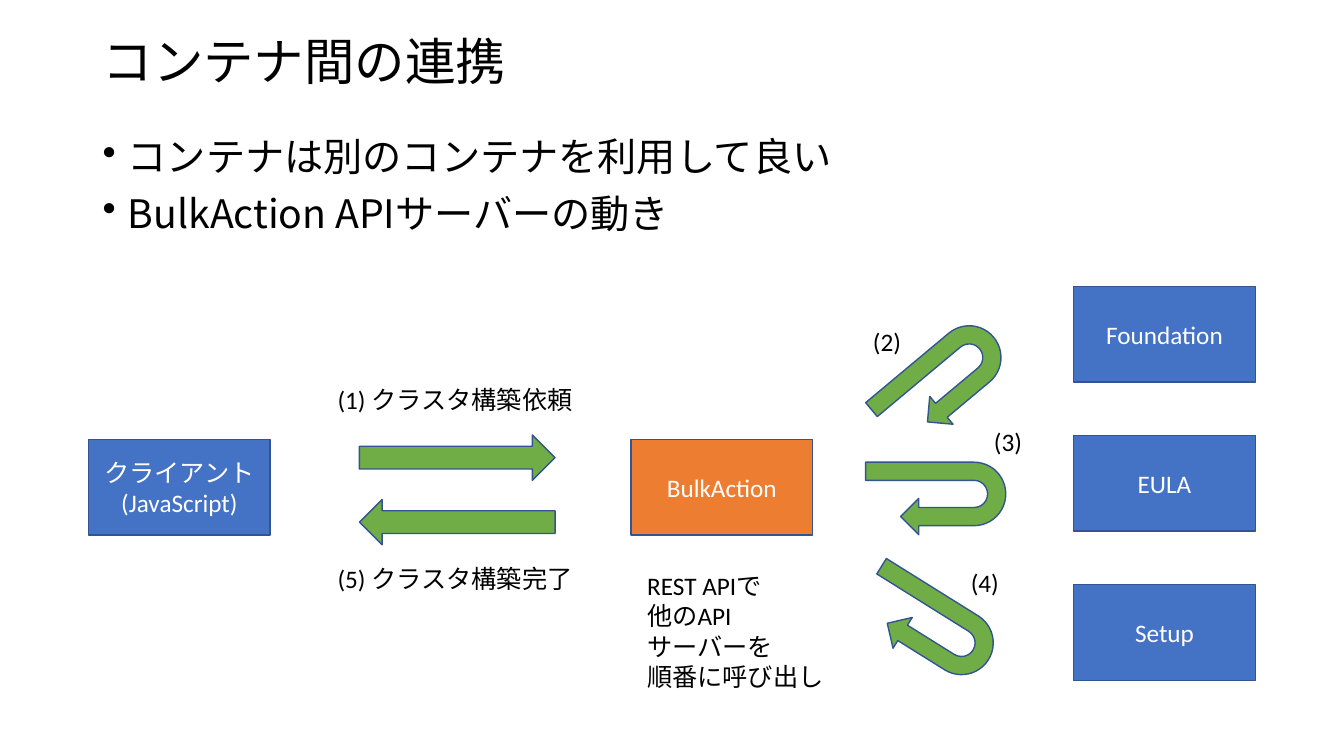
from dataclasses import dataclass

import pptx
import pptx.dml.color
import pptx.enum.shapes
import pptx.enum.text
import pptx.oxml.ns
import pptx.util
from lxml import etree

Inches = pptx.util.Inches
Pt = pptx.util.Pt
RGBColor = pptx.dml.color.RGBColor
MSO_SHAPE = pptx.enum.shapes.MSO_SHAPE
MSO_ANCHOR = pptx.enum.text.MSO_ANCHOR
PP_ALIGN = pptx.enum.text.PP_ALIGN
qn = pptx.oxml.ns.qn

BLACK = RGBColor(0x00, 0x00, 0x00)
WHITE = RGBColor(0xFF, 0xFF, 0xFF)
BLUE = RGBColor(0x44, 0x72, 0xC4)
ORANGE = RGBColor(0xED, 0x7D, 0x31)
GREEN = RGBColor(0x70, 0xAD, 0x47)
OUTLINE = RGBColor(0x32, 0x54, 0x91)

LATIN = "Calibri"
JAPANESE = "Noto Sans CJK JP"
BOX_W, BOX_H = 1.8, 0.95
UTURN_W, UTURN_H = 0.72, 1.39
ARROW_W, ARROW_H = 0.45, 1.94


@dataclass
class Box:
    lines: list[str]
    left: float
    top: float
    fill: RGBColor = BLUE


@dataclass
class Arrow:
    kind: MSO_SHAPE
    left: float
    top: float
    width: float
    height: float
    rotation: float


@dataclass
class Label:
    lines: list[str]
    left: float
    top: float
    width: float
    height: float = 0.4
    wrap: bool = False


BOXES = [
    Box(["クライアント", "(JavaScript)"], 0.88, 4.36),
    Box(["BulkAction"], 6.26, 4.36, ORANGE),
] + [
    Box([name], 10.65, 2.84 + 1.48 * i)
    for i, name in enumerate(["Foundation", "EULA", "Setup"])
]

ARROWS = [
    Arrow(MSO_SHAPE.U_TURN_ARROW, left, top, UTURN_W, UTURN_H, rotation)
    for left, top, rotation in [(8.99, 3.13, 50.1), (8.92, 4.25, 90), (8.83, 5.52, 122)]
] + [
    Arrow(MSO_SHAPE.DOWN_ARROW, 4.31, top, ARROW_W, ARROW_H, rotation)
    for top, rotation in [(3.57, 270), (4.21, 90)]
]

LABELS = [
    Label(["(1) クラスタ構築依頼"], 3.25, 3.76, 2.56, wrap=True),
    Label(["(2)"], 8.56, 3.19, 0.48),
    Label(["(3)"], 9.76, 4.18, 0.48),
    Label(["(4)"], 9.53, 5.58, 0.48),
    Label(["(5) クラスタ構築完了"], 3.25, 5.54, 2.56, wrap=True),
    Label(["REST APIで", "他のAPI", "サーバーを", "順番に呼び出し"], 6.32, 5.61, 1.97, 1.31),
]


def set_attributes(target, values: dict) -> None:
    for name, value in values.items():
        setattr(target, name, value)


def add_bullet(p) -> None:
    pPr = p._p.get_or_add_pPr()
    pPr.set("marL", str(Inches(0.25)))
    pPr.set("indent", str(-Inches(0.25)))
    etree.SubElement(pPr, qn("a:buChar")).set("char", "•")


def write_lines(tf, lines: list[str], color: RGBColor, size: float = 18,
                latin: str = LATIN, bullets: bool = False, **paragraph_format) -> None:
    for i, line in enumerate(lines):
        p = tf.paragraphs[0] if i == 0 else tf.add_paragraph()
        if bullets:
            add_bullet(p)
            if i > 0:
                p.space_before = Pt(10)
        set_attributes(p, paragraph_format)
        r = p.add_run()
        r.text = line
        set_attributes(r.font, {"size": Pt(size), "name": latin})
        r.font.color.rgb = color
        etree.SubElement(r._r.get_or_add_rPr(), qn("a:ea")).set("typeface", JAPANESE)


def add_text_frame(s, left: float, top: float, width: float, height: float, **frame_format):
    sp = s.shapes.add_textbox(Inches(left), Inches(top), Inches(width), Inches(height))
    set_attributes(sp.text_frame, frame_format)
    return sp.text_frame


def add_outlined(s, kind: MSO_SHAPE, left: float, top: float,
                 width: float, height: float, fill: RGBColor):
    sp = s.shapes.add_shape(kind, Inches(left), Inches(top), Inches(width), Inches(height))
    sp.shadow.inherit = False
    sp.fill.solid()
    sp.fill.fore_color.rgb = fill
    sp.line.color.rgb = OUTLINE
    sp.line.width = Pt(1)
    return sp


def draw_box(s, box: Box) -> None:
    sp = add_outlined(s, MSO_SHAPE.RECTANGLE, box.left, box.top, BOX_W, BOX_H, box.fill)
    set_attributes(sp.text_frame, {"word_wrap": True, "vertical_anchor": MSO_ANCHOR.MIDDLE})
    write_lines(sp.text_frame, box.lines, WHITE, alignment=PP_ALIGN.CENTER)


def draw_arrow(s, arrow: Arrow) -> None:
    sp = add_outlined(s, arrow.kind, arrow.left, arrow.top, arrow.width, arrow.height, GREEN)
    sp.rotation = arrow.rotation


def draw_label(s, label: Label) -> None:
    tf = add_text_frame(s, label.left, label.top, label.width, label.height,
                        word_wrap=label.wrap)
    write_lines(tf, label.lines, BLACK)


def main() -> None:
    prs = pptx.Presentation()
    set_attributes(prs, {"slide_width": Inches(13.33), "slide_height": Inches(7.5)})
    s = prs.slides.add_slide(prs.slide_layouts[6])

    # Title and bullets
    tf = add_text_frame(s, 0.92, 0.19, 11.5, 0.89, word_wrap=True,
                        vertical_anchor=MSO_ANCHOR.MIDDLE)
    write_lines(tf, ["コンテナ間の連携"], BLACK, 36, JAPANESE, line_spacing=0.9)
    tf = add_text_frame(s, 0.92, 1.32, 11.5, 5.99, word_wrap=True)
    write_lines(tf, ["コンテナは別のコンテナを利用して良い", "BulkAction APIサーバーの動き"],
                BLACK, 28, JAPANESE, bullets=True, line_spacing=0.9)

    # Diagram
    for box in BOXES:
        draw_box(s, box)
    for arrow in ARROWS:
        draw_arrow(s, arrow)
    for label in LABELS:
        draw_label(s, label)

    prs.save("out.pptx")


if __name__ == "__main__":
    main()
